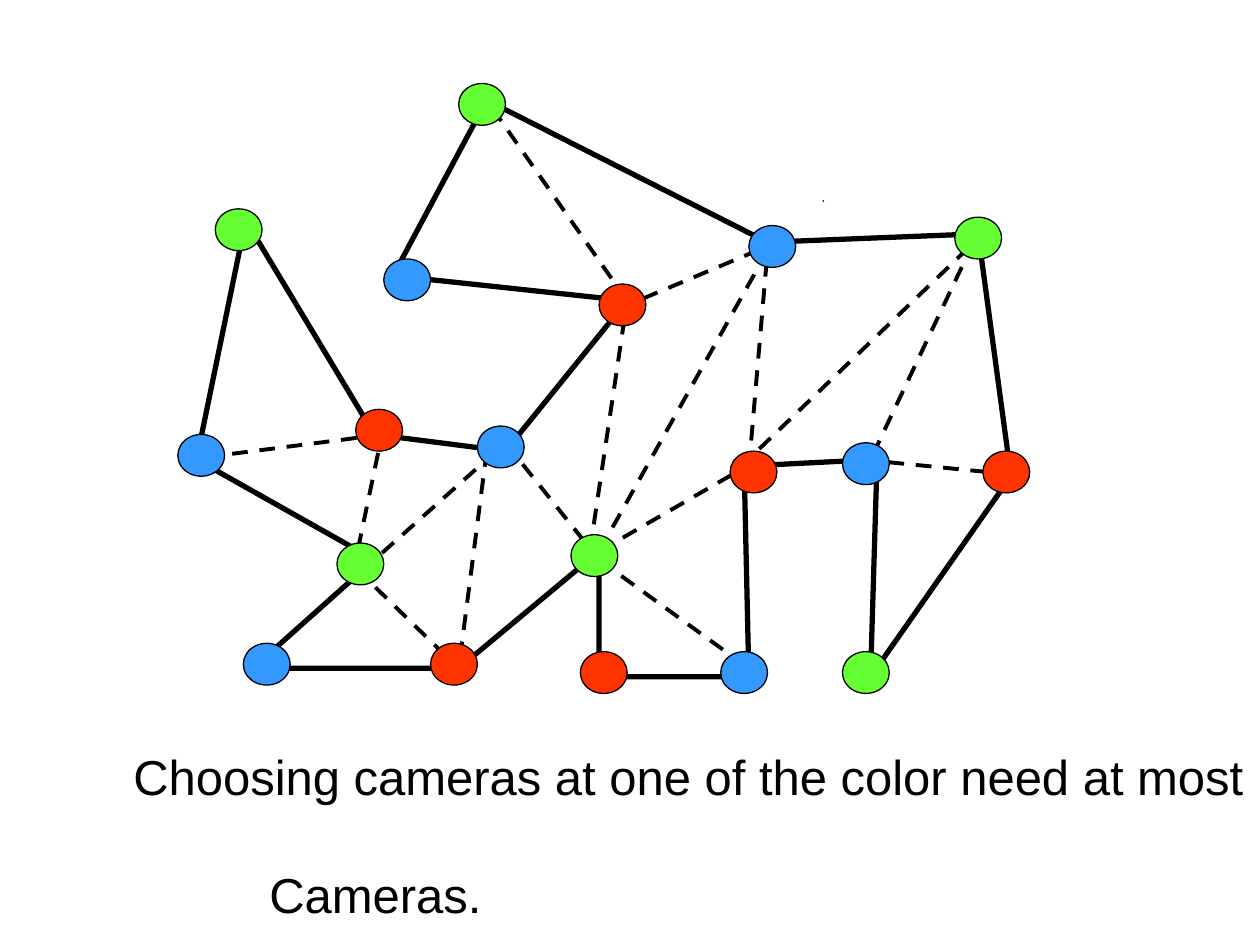
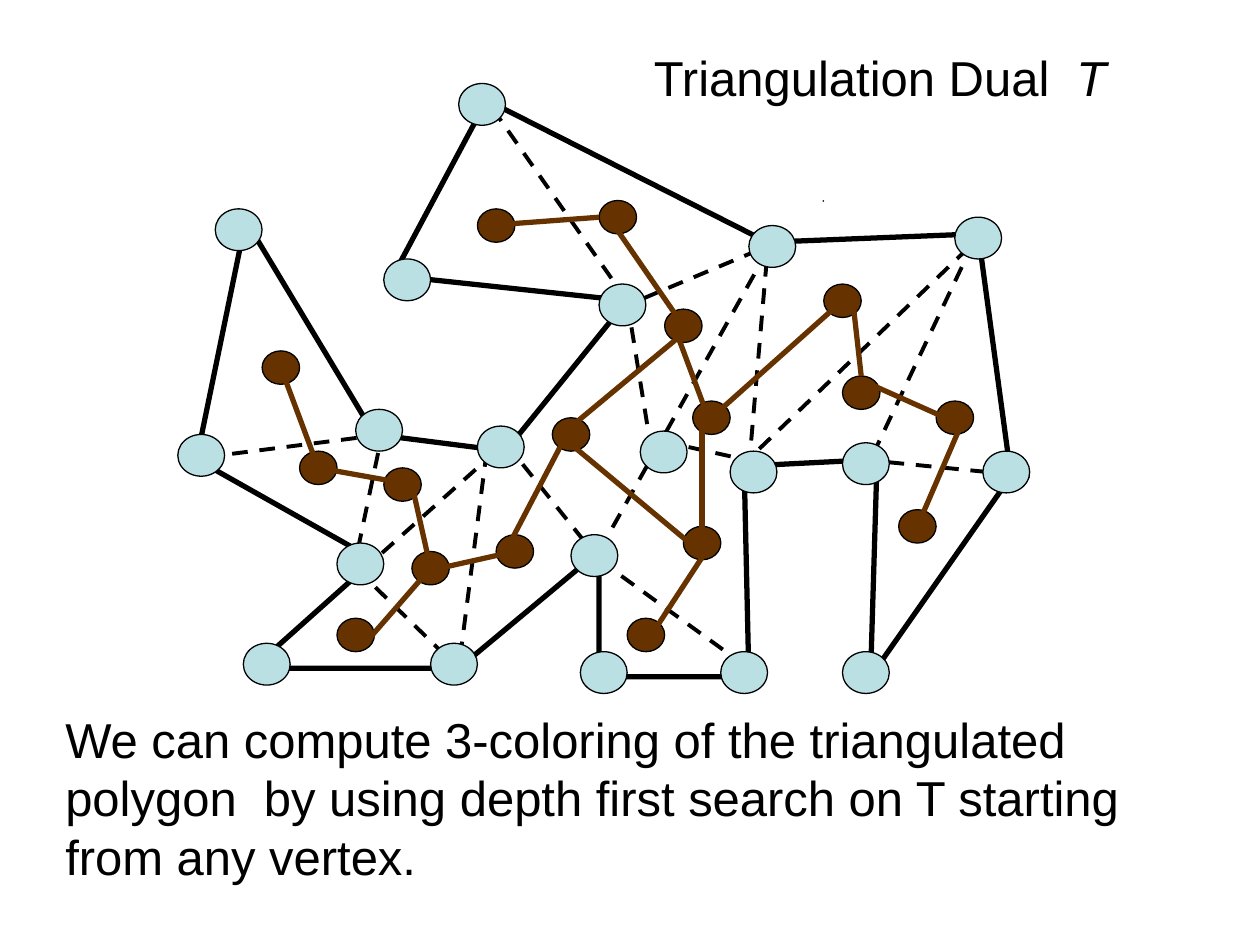
"""Build two slides on three-colouring a triangulated polygon and its dual tree."""
from dataclasses import dataclass
from lxml.etree import SubElement
from pptx import Presentation
from pptx.dml.color import RGBColor
from pptx.enum.dml import MSO_LINE
from pptx.enum.shapes import MSO_CONNECTOR, MSO_SHAPE
from pptx.enum.text import MSO_ANCHOR, MSO_AUTO_SIZE, PP_ALIGN
from pptx.oxml.ns import qn
from pptx.util import Inches, Pt


@dataclass(frozen=True)
class Theme:
    """Colours, type and line weights shared by the slides."""
    ink: RGBColor = RGBColor.from_string("000000")
    red: RGBColor = RGBColor.from_string("FF3300")
    green: RGBColor = RGBColor.from_string("66FF33")
    blue: RGBColor = RGBColor.from_string("3399FF")
    plain: RGBColor = RGBColor.from_string("BBE0E3")
    dual: RGBColor = RGBColor.from_string("663300")
    font: str = "Arial"
    size: Pt = Pt(28)
    leading: Pt = Pt(33.6)
    outline: Pt = Pt(0.75)
    diagonal: Pt = Pt(2.25)
    heavy: Pt = Pt(3)


theme = Theme()
deck = Presentation()
deck.slide_width, deck.slide_height = Inches(10), Inches(7.5)
COL, ROW = deck.slide_width / 134.6, deck.slide_height / 113.1


def draw_edge(slide, ends, color, width, dash=None):
    """Draw a straight edge between two grid points."""
    c1, r1, c2, r2 = ends
    edge = slide.shapes.add_connector(
        MSO_CONNECTOR.STRAIGHT, round(c1 * COL), round(r1 * ROW), round(c2 * COL), round(r2 * ROW))
    edge.line.color.rgb = color
    for name, value in {"width": width, "dash_style": dash}.items():
        setattr(edge.line, name, value)
    SubElement(edge._element.spPr, qn("a:effectLst"))


def draw_vertex(slide, col, row, span, color):
    """Draw a round vertex spanning a square block of grid cells."""
    vertex = slide.shapes.add_shape(
        MSO_SHAPE.OVAL, round(col * COL), round(row * ROW), round(span * COL), round(span * ROW))
    vertex.shadow.inherit = False
    vertex.fill.solid()
    vertex.fill.fore_color.rgb = color
    vertex.line.color.rgb = theme.ink
    vertex.line.width = theme.outline


outline = [
    (26.4, 25.6), (21, 55), (40, 67), (27, 80), (49, 80), (64, 66), (64, 81),
    (80, 81), (79.5, 55.8), (93.7, 55), (93, 81), (108, 57), (104.5, 28), (82, 29),
    (52, 12), (42, 33), (67, 36), (54, 54), (40, 52), (26.1, 26.1)]
shared_diagonals = [
    (80, 56, 82, 30), (92, 55, 110, 57), (64, 67, 80, 80), (79, 56, 105, 28),
    (104, 29, 93, 55), (64, 66, 82, 30), (66, 37, 83, 29), (67, 36, 52, 12),
    (54, 53, 64, 67), (38, 68, 49, 80), (52, 54, 49, 80), (53, 54, 39, 68),
    (41, 51, 38, 67), (41, 52, 20, 55)]
coloring_diagonals = [(64, 66, 81, 55), (63, 66, 67, 36)]
dual_diagonals = [(70.7, 52.8, 80.8, 55.3), (69.6, 54, 67, 36)]
color_classes = {
    theme.blue: [(51, 51), (19, 52), (41, 31), (80, 27), (77, 78), (90, 53), (26, 77)],
    theme.red: [(38, 49), (105, 54), (64, 34), (78, 54), (46, 77), (62, 78)],
    theme.green: [(36, 65), (23, 25), (102, 26), (49, 10), (90, 78), (61, 64)]}
inner_vertex = (68.4, 51.6)
dual_vertices = [
    (28, 42), (53, 64), (36, 74), (44, 66), (41, 56), (32, 54), (90, 45), (74, 48), (71, 37),
    (64, 24), (51, 25), (59, 50), (73, 63), (96, 61), (100, 48), (67, 74), (88, 34)]
dual_edges = [
    (30, 44, 34, 56), (34, 56, 44, 58), (44, 58, 46, 68), (46, 68, 39, 77),
    (47, 68, 55, 66), (54, 66, 61, 51), (60, 52, 73, 39.9), (72, 39, 76, 51),
    (91, 35, 92, 45), (93, 46, 103, 51), (103, 50, 98, 63), (73, 39, 65, 26),
    (64, 26, 52, 27), (76, 65, 69, 77), (75, 50, 75, 66), (76, 50, 90, 36),
    (60.6, 52.8, 74, 65.3)]
speck = (87.9, 24, 88, 24.1)

coloring = deck.slides.add_slide(deck.slide_layouts[6])
dual = deck.slides.add_slide(deck.slide_layouts[5])

for slide, own_diagonals in ((coloring, coloring_diagonals), (dual, dual_diagonals)):
    for ends in shared_diagonals + own_diagonals:
        draw_edge(slide, ends, theme.ink, theme.diagonal, MSO_LINE.DASH)
    corners = [(round(col * COL), round(row * ROW)) for col, row in outline]
    pen = slide.shapes.build_freeform(*corners[0])
    pen.add_line_segments(corners[1:], close=False)
    polygon = pen.convert_to_shape()
    polygon.shadow.inherit = False
    polygon.fill.background()
    polygon.line.color.rgb = theme.ink
    polygon.line.width = theme.heavy
    for color, corner_cells in color_classes.items():
        for col, row in corner_cells:
            draw_vertex(slide, col, row, 5, color if slide is coloring else theme.plain)
    draw_edge(slide, speck, theme.ink, theme.outline)

for col, row in dual_vertices:
    draw_vertex(dual, col, row, 4, theme.dual)
for ends in dual_edges:
    draw_edge(dual, ends, theme.dual, theme.heavy)
draw_vertex(dual, *inner_vertex, 5, theme.plain)

camera_note = coloring.shapes.add_textbox(0, 0, 0, 0)
search_note = dual.shapes.add_textbox(0, 0, 0, 0)
texts = [
    (camera_note, (0.96, 5.88, 10.19, 1.5),
     [["Choosing cameras at one of the color need at most"], ["Cameras."]]),
    (dual.shapes.title, (5.09, 0.33, 3.8, 1.04), [["Triangulation Dual  ", "T"]]),
    (search_note, (0.42, 5.58, 9.1, 1.5),
     [["We can compute 3-coloring of the triangulated polygon  by using depth first search "
       "on T starting from any vertex."]])]
frame_format = {
    "word_wrap": True, "auto_size": MSO_AUTO_SIZE.NONE, "vertical_anchor": MSO_ANCHOR.TOP}
paragraph_format = {
    "alignment": PP_ALIGN.LEFT, "line_spacing": theme.leading, "space_before": Pt(0)}
font_format = {"name": theme.font, "size": theme.size}

for holder, bounds, paragraphs in texts:
    for name, value in zip(("left", "top", "width", "height"), bounds):
        setattr(holder, name, Inches(value))
    frame = holder.text_frame
    for name, value in frame_format.items():
        setattr(frame, name, value)
    for index, pieces in enumerate(paragraphs):
        paragraph = frame.add_paragraph() if index else frame.paragraphs[0]
        for name, value in paragraph_format.items():
            setattr(paragraph, name, value)
        for piece in pieces:
            run = paragraph.add_run()
            run.text = piece
            run.font.color.rgb = theme.ink
            for name, value in font_format.items():
                setattr(run.font, name, value)

cameras_line = camera_note.text_frame.paragraphs[1]
cameras_line.space_before = theme.leading
cameras_line._p.get_or_add_pPr().set("marL", str(Inches(1.08)))
dual.shapes.title.text_frame.paragraphs[0].runs[1].font.italic = True

deck.save("out.pptx")
